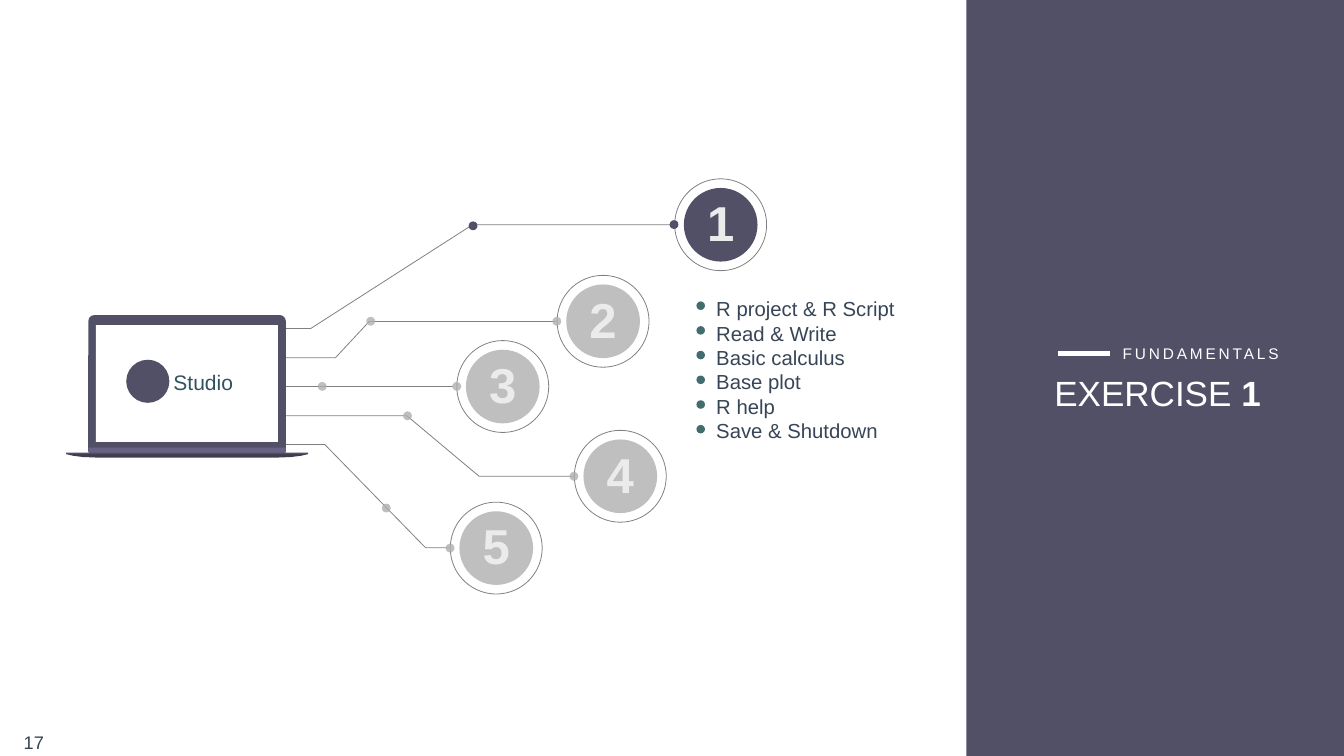
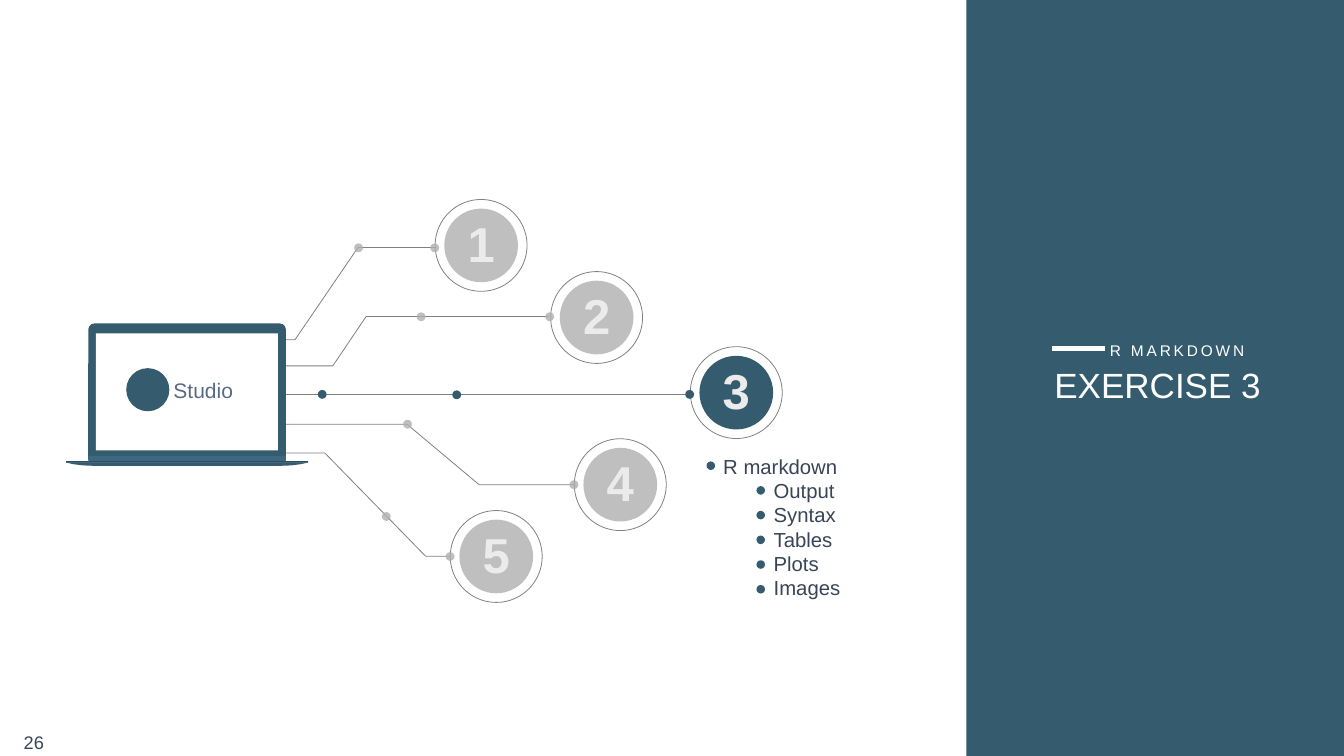
from lxml import etree
from pptx import Presentation
from pptx import util as u
from pptx.dml.color import RGBColor
from pptx.enum import shapes as s
from pptx.enum import text as t
from pptx.oxml.ns import qn

Pt = u.Pt
COLORS = {
    "white": "FFFFFF", "ink": "374556", "digit": "EBEBEB", "wire": "808080",
    "idle": "AFAFAF", "plum": "525067", "plum_light": "666384",
    "plum_dark": "3E3C4D", "petrol": "355B6E", "petrol_light": "3C697F",
    "petrol_dark": "2D4F5F", "green": "436C6E", "teal": "30525E",
    "slate": "576B85",
}
DISC, RING, DOT, BULLET = 105.2, 131.2, 12.6, 12.2
LINE_PITCH = 35.3
SHAPE = s.MSO_SHAPE

# Stations: number, disc centre, wire corners, dots on the wire
LOWER_STATIONS = [
    (4, (885.6, 680.4), [(325.4, 594), (581, 594), (684, 680.4), (820, 680.4)],
     [(581.8, 594), (819.4, 680.4)]),
    (5, (708.5, 783), [(378.7, 635), (463.7, 635), (607.7, 782.6), (642.2, 782.6)],
     [(551.5, 725.8), (642.6, 783)]),
]
FUNDAMENTALS_STATIONS = [
    (1, (1028.9, 321.1), [(960.5, 321.1), (674.6, 321.1), (443.5, 469.4), (368.6, 469.4)],
     [(675.4, 322.6), (962.3, 320.8)]),
    (2, (861, 459), [(793.4, 459.4), (527, 459.4), (478.8, 511.2), (319.7, 511.2)],
     [(529.2, 459), (794.9, 459)]),
    (3, (717.8, 552.2), [(352, 552.2), (646.6, 552.2)], [(460, 552), (652, 552)]),
]
MARKDOWN_STATIONS = [
    (1, (686.9, 350.6), [(622.8, 353.5), (511.2, 353.5), (421.2, 485.3), (392.4, 485.3)],
     [(511.9, 354), (620.6, 354)]),
    (2, (851.8, 453.6), [(783.4, 452.2), (522.7, 452.2), (475.2, 522.7), (319.7, 522.7)],
     [(601.2, 452.5), (784.8, 452.5)]),
    (3, (1051.2, 560.9), [(373, 563), (986.4, 563)],
     [(460, 563.4), (652, 564), (984.6, 563.4)]),
]


def rgb(color):
    return RGBColor.from_string(COLORS[color])


def paint(shape, fill=None, line=None, alpha=None):
    shape.shadow.inherit = False
    if fill:
        shape.fill.solid()
        shape.fill.fore_color.rgb = rgb(fill)
        if alpha:
            tint = shape.fill._xPr.find(qn("a:solidFill"))[0]
            etree.SubElement(tint, qn("a:alpha"), val=str(alpha * 1000))
    else:
        shape.fill.background()
    if line:
        shape.line.color.rgb = rgb(line)
        shape.line.width = Pt(1.13)
    else:
        shape.line.fill.background()
    return shape


def add_block(slide, kind, left, top, width, height, fill):
    block = slide.shapes.add_shape(kind, Pt(left), Pt(top), Pt(width), Pt(height))
    return paint(block, fill)


def add_circle(slide, centre, diameter, fill=None, line=None, alpha=None):
    x, y = centre
    circle = slide.shapes.add_shape(SHAPE.OVAL, Pt(x - diameter / 2),
                                    Pt(y - diameter / 2), Pt(diameter), Pt(diameter))
    paint(circle, fill, line, alpha)


def add_line(slide, start, end, color, width):
    line = slide.shapes.add_connector(s.MSO_CONNECTOR.STRAIGHT,
                                      *[Pt(value) for value in (*start, *end)])
    line.line.color.rgb = rgb(color)
    line.line.width = Pt(width)
    etree.SubElement(line._element.spPr, qn("a:effectLst"))


def add_outline(slide, corners, closed, **look):
    points = [(Pt(x), Pt(y)) for x, y in corners]
    builder = slide.shapes.build_freeform(*points[0])
    builder.add_line_segments(points[1:], close=closed)
    paint(builder.convert_to_shape(), **look)


def style_runs(frame, size, color, bold=False, spacing=None):
    for paragraph in frame.paragraphs:
        for run in paragraph.runs:
            run.font.name, run.font.size, run.font.bold = "Arial", Pt(size), bold
            run.font.color.rgb = rgb(color)
            if spacing:
                run._r.get_or_add_rPr().set("spc", str(round(spacing * 100)))


def add_text(slide, words, left, top, width, height, size, color, inset=3.6,
             align=t.PP_ALIGN.LEFT, anchor=t.MSO_ANCHOR.TOP, **look):
    frame = slide.shapes.add_textbox(Pt(left), Pt(top), Pt(width), Pt(height)).text_frame
    frame.margin_left = frame.margin_right = Pt(inset)
    frame.margin_top = frame.margin_bottom = Pt(inset)
    frame.word_wrap, frame.vertical_anchor = True, anchor
    frame.text = words
    for paragraph in frame.paragraphs:
        paragraph.alignment = align
    style_runs(frame, size, color, **look)
    return frame


def add_panel(slide, accent, kicker, title, kicker_at, rule_at, title_top):
    """Coloured side panel with kicker, rule and title."""
    add_block(slide, SHAPE.RECTANGLE, 1379.5, -4.3, 546.5, 1089.4, accent)
    heading = add_text(slide, title, 1442.9, title_top, 419.8, 121.7, 50, "white",
                       align=t.PP_ALIGN.CENTER)
    add_text(slide, kicker, *kicker_at, 286.6, 30, 22, "white",
             align=t.PP_ALIGN.CENTER, spacing=4.1)
    x, y = rule_at
    add_line(slide, rule_at, (x + 75.6, y), "white", 7)
    return heading


def add_station(slide, number, centre, wire, dots, accent, active):
    """Numbered disc in a ring, wired to the laptop."""
    fill, alpha = (accent, None) if active else ("idle", 80)
    if len(wire) == 2:
        add_line(slide, *wire, "wire", 1.13)
    else:
        add_outline(slide, wire, False, line="wire")
    add_circle(slide, centre, DISC, fill, alpha=alpha)
    add_circle(slide, centre, RING, line="wire")
    for dot in dots:
        add_circle(slide, dot, DOT, fill, alpha=alpha)
    x, y = centre
    add_text(slide, str(number), x - 23, y - 49.5, 46, 102, 70, "digit", bold=True)


def add_laptop(slide, drop, body, strip_fill, base_fill, hinge_fill, label_color):
    """Laptop with a plain disc and a label on its screen."""
    lid = add_block(slide, SHAPE.ROUND_2_SAME_RECTANGLE, 126, 450 + drop, 282.2, 198, body)
    lid.adjustments[0], lid.adjustments[1] = 0.045, 0.02
    strip = add_block(slide, SHAPE.ROUND_2_SAME_RECTANGLE, 126, 639.4 + drop, 282.2, 8.6,
                      strip_fill)
    strip.adjustments[0], strip.adjustments[1] = 0, 0.45
    add_block(slide, SHAPE.RECTANGLE, 136.8, 464.4 + drop, 260, 167, "white")
    left, right, top = 94.3, 439.9, 648.7 + drop
    curve = [(0, 0), (10, 2.4), (24, 4.2), (44, 5)]
    base = [(left + x, top + y) for x, y in curve]
    base += [(right - x, top + y) for x, y in reversed(curve)]
    add_outline(slide, base, True, fill=base_fill)
    add_block(slide, SHAPE.RECTANGLE, left, top - 2.1, right - left, 2.2, hinge_fill)
    add_circle(slide, (211, 544.7 + drop), 61.6, body)
    add_text(slide, "Studio", 243.4, 517 + drop, 95.8, 57.6, 30, label_color,
             inset=4.3, anchor=t.MSO_ANCHOR.MIDDLE)


def add_topics(slide, topics, left, top, width, bullet_xs, bullet_y, color):
    """Topic list of (level, words) with a round marker per line."""
    frame = add_text(slide, "\n".join(words for _, words in topics), left, top, width,
                     218.2, 29, "ink", inset=4.3, anchor=t.MSO_ANCHOR.MIDDLE)
    for row, (paragraph, (level, _)) in enumerate(zip(frame.paragraphs, topics)):
        if level:
            paragraph.level = level
            margins = paragraph._p.get_or_add_pPr()
            margins.set("marL", str(Pt(72)))
            margins.set("indent", "0")
        add_circle(slide, (bullet_xs[level], bullet_y + row * LINE_PITCH), BULLET, color)


def add_page_number(slide, number):
    add_text(slide, str(number), 29.5, 1041.5, 52.6, 38.5, 26, "ink", inset=4.3,
             anchor=t.MSO_ANCHOR.MIDDLE)


def add_diagram(slide, stations, active, accent):
    for number, centre, wire, dots in stations:
        add_station(slide, number, centre, wire, dots, accent, number == active)


def lowered(stations, drop):
    def shift(point):
        return point[0], point[1] + drop
    return [(number, shift(centre), [shift(p) for p in wire], [shift(p) for p in dots])
            for number, centre, wire, dots in stations]


def build_fundamentals(slide):
    heading = add_panel(slide, "plum", "FUNDAMENTALS", "EXERCISE ",
                        (1571, 488.2), (1509.8, 505.4), 527.8)
    heading.paragraphs[0].add_run().text = "1"
    style_runs(heading, 50, "white")
    heading.paragraphs[0].runs[1].font.bold = True
    topics = ["R project & R Script", "Read & Write", "Basic calculus", "Base plot",
              "R help", "Save & Shutdown"]
    add_topics(slide, [(0, words) for words in topics], 1018.2, 419, 290,
               [1000.4], 436.7, "green")
    add_diagram(slide, FUNDAMENTALS_STATIONS + LOWER_STATIONS, 1, "plum")
    add_laptop(slide, 0, "plum", "plum_light", "plum_dark", "plum", "teal")
    add_page_number(slide, 17)


def build_markdown(slide):
    drop = 12
    add_panel(slide, "petrol", "R MARKDOWN", "EXERCISE 3",
              (1537.2, 483.8), (1502.6, 497.5), 515.5)
    add_diagram(slide, MARKDOWN_STATIONS + lowered(LOWER_STATIONS, drop), 3, "petrol")
    add_laptop(slide, drop, "petrol", "petrol_light", "petrol", "petrol_dark", "slate")
    details = ["Output", "Syntax", "Tables", "Plots", "Images"]
    add_topics(slide, [(0, "R markdown")] + [(1, words) for words in details],
               1028.2, 643.7, 190, [1014.8, 1086.1], 665.3, "petrol")
    add_page_number(slide, 26)


def main():
    deck = Presentation()
    deck.slide_width, deck.slide_height = Pt(1918.8), Pt(1080)
    for build in (build_fundamentals, build_markdown):
        build(deck.slides.add_slide(deck.slide_layouts[6]))
    deck.save("out.pptx")


if __name__ == "__main__":
    main()
